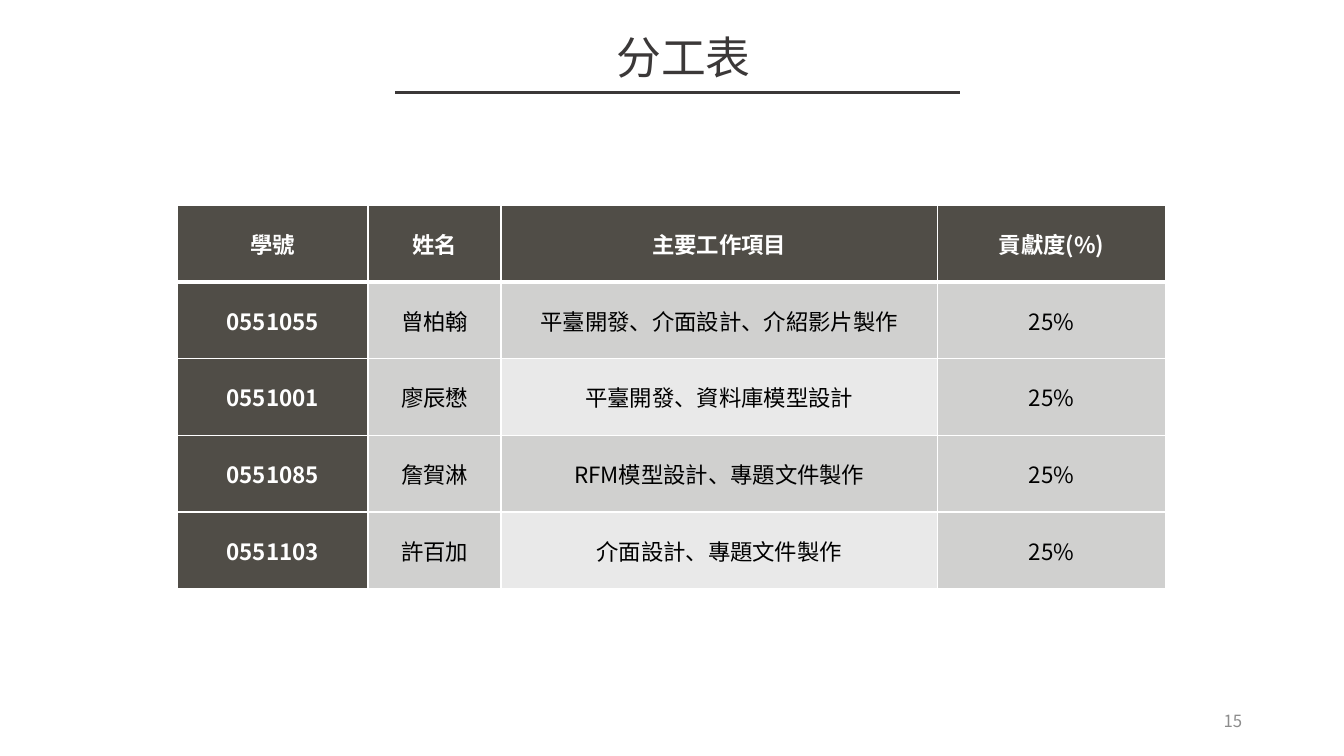
from dataclasses import dataclass
from typing import NamedTuple

from lxml import etree
from pptx import Presentation
from pptx import util as u
from pptx.dml.color import RGBColor
from pptx.enum import shapes, text
from pptx.oxml.ns import qn


@dataclass(frozen=True)
class Theme:
    font: str = "Noto Sans CJK SC"
    heading: str = "3B3838"
    dark: str = "504D47"
    band: str = "D0D0CF"
    light_band: str = "E9E9E9"
    white: str = "FFFFFF"
    black: str = "000000"
    muted: str = "8C8C8C"
    title_size: int = 32
    table_size: int = 16
    number_size: int = 12


class Member(NamedTuple):
    student_id: str
    name: str
    tasks: str
    share: str


THEME = Theme()
HEADINGS = Member("學號", "姓名", "主要工作項目", "貢獻度(%)")
MEMBERS = [
    Member("0551055", "曾柏翰", "平臺開發、介面設計、介紹影片製作", "25%"),
    Member("0551001", "廖辰懋", "平臺開發、資料庫模型設計", "25%"),
    Member("0551085", "詹賀淋", "RFM模型設計、專題文件製作", "25%"),
    Member("0551103", "許百加", "介面設計、專題文件製作", "25%"),
]
COLUMN_WIDTHS = (1.89, 1.32, 4.33, 2.26)
ROW_HEIGHT = 0.76
TASKS_COLUMN = 2


def write(frame, words: str, *, size: int, color: str, bold: bool = False,
          align=text.PP_ALIGN.CENTER) -> None:
    paragraph = frame.paragraphs[0]
    paragraph.alignment = align
    run = paragraph.add_run()
    run.text = words
    run.font.size = u.Pt(size)
    run.font.bold = bold
    run.font.color.rgb = RGBColor.from_string(color)
    run.font.name = THEME.font
    east_asian = etree.Element(qn("a:ea"), typeface=THEME.font)
    run.font._element.find(qn("a:latin")).addnext(east_asian)


def add_borders(cell, **widths: float) -> None:
    properties = cell._tc.get_or_add_tcPr()
    for side, width in widths.items():
        border = etree.SubElement(properties, qn(f"a:ln{side}"), w=str(u.Pt(width)))
        fill = etree.SubElement(border, qn("a:solidFill"))
        etree.SubElement(fill, qn("a:srgbClr"), val=THEME.white)


def add_heading(slide) -> None:
    heading = slide.shapes.title
    heading.left, heading.top = u.Inches(3.75), u.Inches(0.24)
    heading.width, heading.height = u.Inches(6.06), u.Inches(0.64)
    heading.text_frame.auto_size = text.MSO_AUTO_SIZE.NONE
    heading.text_frame.vertical_anchor = text.MSO_ANCHOR.TOP
    write(heading.text_frame, "分工表", size=THEME.title_size, color=THEME.heading)

    underline = slide.shapes.add_connector(
        shapes.MSO_CONNECTOR.STRAIGHT,
        u.Inches(3.92), u.Inches(0.92), u.Inches(9.52), u.Inches(0.92))
    underline.line.color.rgb = RGBColor.from_string(THEME.heading)
    underline.line.width = u.Pt(2)
    etree.SubElement(underline._element.spPr, qn("a:effectLst"))


def add_page_number(slide) -> None:
    number = slide.shapes.add_textbox(
        u.Inches(9.42), u.Inches(6.95), u.Inches(3), u.Inches(0.4))
    number.text_frame.word_wrap = True
    number.text_frame.vertical_anchor = text.MSO_ANCHOR.MIDDLE
    write(number.text_frame, "15", size=THEME.number_size, color=THEME.muted,
          align=text.PP_ALIGN.RIGHT)


def cell_fill(row: int, column: int) -> str:
    if row == 0 or column == 0:
        return THEME.dark
    if column == TASKS_COLUMN and row % 2 == 0:
        return THEME.light_band
    return THEME.band


def add_work_table(slide) -> None:
    rows = [HEADINGS, *MEMBERS]
    work = slide.shapes.add_table(
        len(rows), len(COLUMN_WIDTHS), u.Inches(1.76), u.Inches(2.04),
        u.Inches(sum(COLUMN_WIDTHS)), u.Inches(ROW_HEIGHT * len(rows))).table
    work.first_col = True
    for column, width in zip(work.columns, COLUMN_WIDTHS):
        column.width = u.Inches(width)
    for r, member in enumerate(rows):
        work.rows[r].height = u.Inches(ROW_HEIGHT)
        for c, words in enumerate(member):
            cell = work.cell(r, c)
            emphasised = r == 0 or c == 0
            cell.margin_left = cell.margin_right = u.Inches(0.07)
            cell.margin_top = cell.margin_bottom = 0
            cell.vertical_anchor = text.MSO_ANCHOR.MIDDLE
            add_borders(cell, L=1, R=1, T=3 if r == 1 else 1, B=3 if r == 0 else 1)
            cell.fill.solid()
            cell.fill.fore_color.rgb = RGBColor.from_string(cell_fill(r, c))
            write(cell.text_frame, words, size=THEME.table_size, bold=emphasised,
                  color=THEME.white if emphasised else THEME.black)


def main() -> None:
    deck = Presentation()
    deck.slide_width, deck.slide_height = u.Inches(13.33), u.Inches(7.5)
    slide = deck.slides.add_slide(deck.slide_layouts.get_by_name("Title Only"))
    add_heading(slide)
    add_page_number(slide)
    add_work_table(slide)
    deck.save("out.pptx")


if __name__ == "__main__":
    main()
